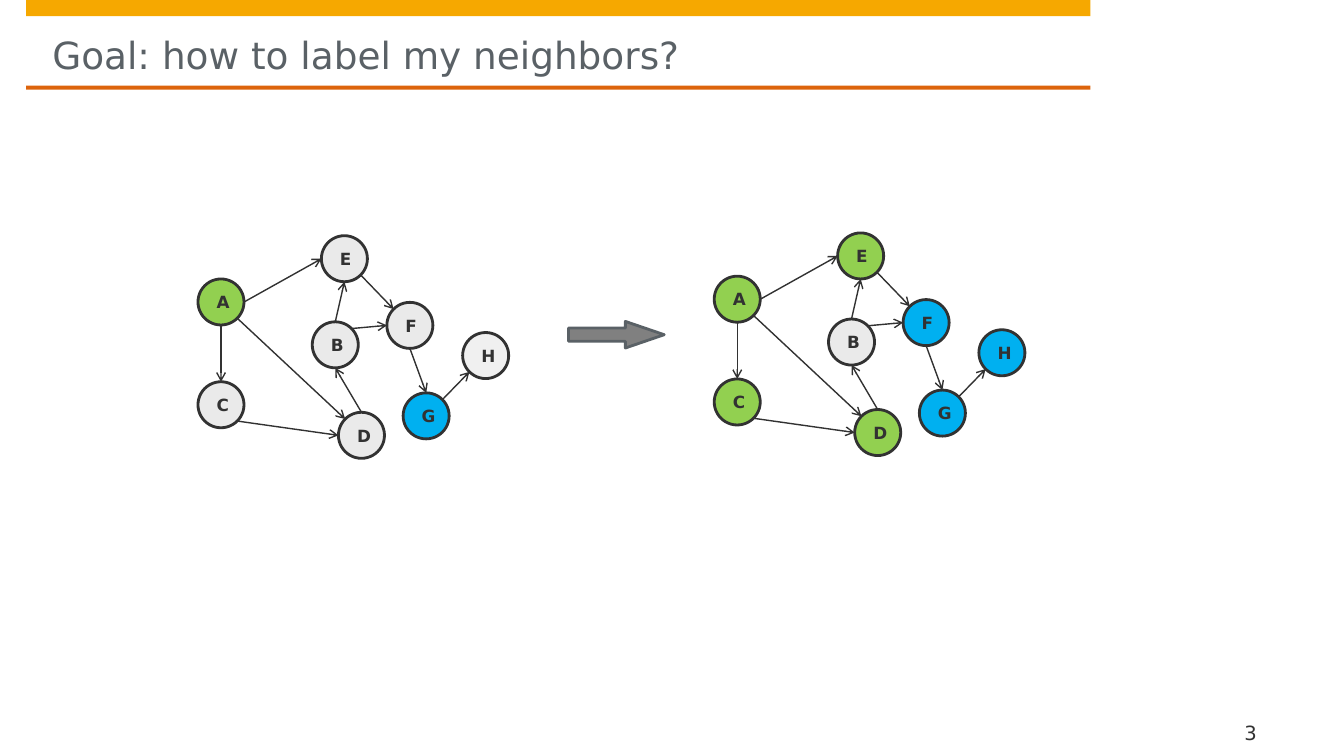
from dataclasses import dataclass
from typing import NamedTuple

from lxml import etree
from pptx import Presentation
from pptx import util as u
from pptx.dml.color import RGBColor
from pptx.enum import shapes, text
from pptx.oxml import ns


@dataclass(frozen=True)
class Theme:
    font: str = "DejaVu Sans"
    gold: str = "F6A800"
    rust: str = "DD640C"
    slate: str = "5A6166"
    ink: str = "323232"
    gray: str = "808080"
    green: str = "92D050"
    blue: str = "00B0F0"
    plain: str = "EAEAEA"
    pale: str = "F0F0F0"
    title: float = 26.7
    page: float = 14
    label: float = 12


class Node(NamedTuple):
    name: str
    x: float
    y: float
    before: str
    after: str


class Edge(NamedTuple):
    start: str
    out: str
    end: str
    into: str


class Box(NamedTuple):
    x: float
    y: float
    w: float
    h: float


THEME = Theme()
SIZE = 1.16  # node diameter, cm
SHIFT = (13.01, -0.07)  # from the first graph to the second, cm
DIAG = 0.5 ** 0.5
PORTS = {
    "N": (0, -1), "E": (1, 0), "S": (0, 1), "W": (-1, 0),
    "NE": (DIAG, -DIAG), "SE": (DIAG, DIAG),
    "SW": (-DIAG, DIAG), "NW": (-DIAG, -DIAG),
}
NODES = [
    Node("A", 4.99, 7.03, THEME.green, THEME.green),
    Node("C", 4.99, 9.62, THEME.plain, THEME.green),
    Node("B", 7.87, 8.11, THEME.plain, THEME.plain),
    Node("D", 8.53, 10.39, THEME.plain, THEME.green),
    Node("E", 8.1, 5.94, THEME.plain, THEME.green),
    Node("F", 9.75, 7.62, THEME.plain, THEME.blue),
    Node("G", 10.16, 9.9, THEME.blue, THEME.blue),
    Node("H", 11.66, 8.38, THEME.pale, THEME.blue),
]
EDGES = [
    Edge("A", "S", "C", "N"), Edge("A", "E", "E", "W"),
    Edge("A", "SE", "D", "NW"), Edge("C", "SE", "D", "W"),
    Edge("D", "N", "B", "S"), Edge("B", "N", "E", "S"),
    Edge("B", "NE", "F", "W"), Edge("E", "SE", "F", "NW"),
    Edge("F", "S", "G", "N"), Edge("G", "NE", "H", "SW"),
]


def place(box: Box) -> list[u.Cm]:
    return [u.Cm(side) for side in box]


def add_shape(slide, kind, box: Box, fill: str, line: str = ""):
    shape = slide.shapes.add_shape(kind, *place(box))
    shape.shadow.inherit = False
    shape.fill.solid()
    shape.fill.fore_color.rgb = RGBColor.from_string(fill)
    if line:
        shape.line.color.rgb = RGBColor.from_string(line)
        shape.line.width = u.Pt(2)
    else:
        shape.line.fill.background()
    return shape


def set_text(shape, words: str, size: float, color: str, pads: Box, anchor):
    """Write one paragraph; pads holds the left, top, right and bottom insets."""
    frame = shape.text_frame
    frame.text = words
    frame.word_wrap = True
    frame.vertical_anchor = anchor
    (frame.margin_left, frame.margin_top,
     frame.margin_right, frame.margin_bottom) = place(pads)
    para = frame.paragraphs[0]
    font = para.runs[0].font
    font.name, font.size = THEME.font, u.Pt(size)
    font.color.rgb = RGBColor.from_string(color)
    return para


def add_node(slide, node: Node, x: float, y: float, fill: str) -> None:
    shape = add_shape(slide, shapes.MSO_SHAPE.OVAL, Box(x, y, SIZE, SIZE), fill, THEME.ink)
    para = set_text(shape, node.name, THEME.label, THEME.ink,
                    Box(0.3, 0.2, 0.3, 0.2), text.MSO_ANCHOR.MIDDLE)
    para.alignment = text.PP_ALIGN.CENTER
    para.space_before = para.space_after = u.Pt(3)
    para.runs[0].font.bold = True


def port(spot: tuple[float, float], side: str) -> list[u.Cm]:
    """Point on a node's rim in the given compass direction."""
    return [u.Cm(pos + SIZE / 2 * (1 + step)) for pos, step in zip(spot, PORTS[side])]


def add_edge(slide, start: list[u.Cm], end: list[u.Cm]) -> None:
    line = slide.shapes.add_connector(shapes.MSO_CONNECTOR.STRAIGHT, *start, *end)
    line.line.color.rgb = RGBColor.from_string(THEME.ink)
    line.line.width = u.Pt(1)
    props = line._element.spPr
    etree.SubElement(props.find(ns.qn("a:ln")), ns.qn("a:tailEnd"), type="arrow")
    etree.SubElement(props, ns.qn("a:effectLst"))


def add_graph(slide, dx: float, dy: float, done: bool) -> None:
    """Draw the graph moved by dx, dy, with its colours before or after labelling."""
    spots = {node.name: (node.x + dx, node.y + dy) for node in NODES}
    for node in NODES:
        add_node(slide, node, *spots[node.name], node.after if done else node.before)
    for edge in EDGES:
        add_edge(slide, port(spots[edge.start], edge.out), port(spots[edge.end], edge.into))


def main() -> None:
    deck = Presentation()
    deck.slide_width, deck.slide_height = u.Cm(33.87), u.Cm(19.05)
    slide = deck.slides.add_slide(deck.slide_layouts[6])

    rect = shapes.MSO_SHAPE.RECTANGLE
    add_shape(slide, rect, Box(0.66, 0, 26.82, 0.41), THEME.gold)
    add_shape(slide, rect, Box(0.66, 2.16, 26.82, 0.1), THEME.rust)

    title = slide.shapes.add_textbox(*place(Box(1.32, 0.41, 25.48, 1.55)))
    set_text(title, "Goal: how to label my neighbors?", THEME.title, THEME.slate,
             Box(0, 0.41, 0, 0), text.MSO_ANCHOR.TOP)
    page = slide.shapes.add_textbox(*place(Box(31.06, 18.01, 2.13, 0.74)))
    set_text(page, "3", THEME.page, THEME.ink, Box(0.3, 0, 0, 0), text.MSO_ANCHOR.BOTTOM)

    add_graph(slide, 0, 0, done=False)
    add_graph(slide, *SHIFT, done=True)
    arrow = add_shape(slide, shapes.MSO_SHAPE.RIGHT_ARROW, Box(14.33, 8.1, 2.41, 0.67),
                      THEME.gray, THEME.slate)
    arrow.adjustments[1] = 1.46

    deck.save("out.pptx")


if __name__ == "__main__":
    main()
